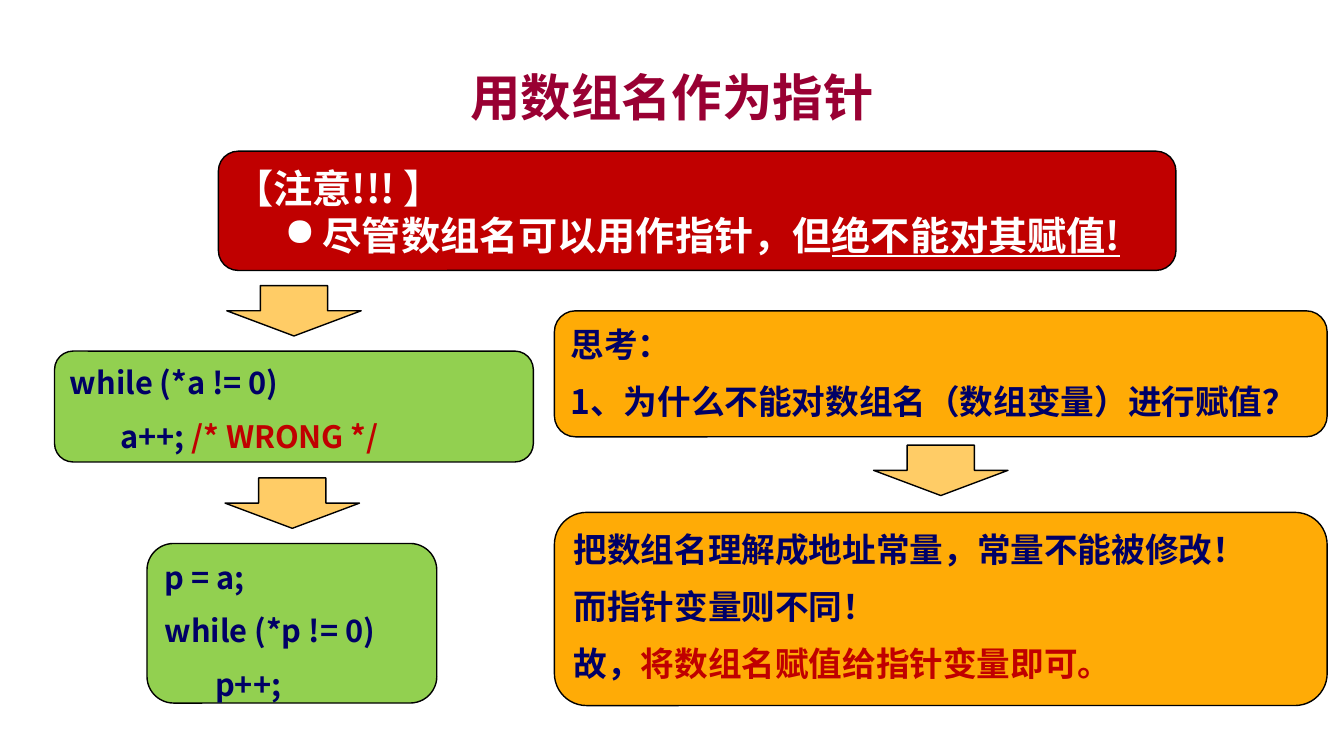
"""Build the slide on using an array name as a pointer."""
from lxml import etree
from pptx import Presentation
from pptx.dml.color import RGBColor
from pptx.enum.shapes import MSO_SHAPE as SHAPE
from pptx.enum.text import MSO_ANCHOR as ANCHOR, PP_ALIGN as ALIGN
from pptx.oxml.ns import qn
from pptx.util import Inches, Pt

WHITE = RGBColor(0xFF, 0xFF, 0xFF)
BLACK = RGBColor(0x00, 0x00, 0x00)
CRIMSON = RGBColor(0x99, 0x00, 0x33)
RED = RGBColor(0xC0, 0x00, 0x00)
GREEN = RGBColor(0x92, 0xD0, 0x50)
ORANGE = RGBColor(0xFF, 0xAB, 0x06)
SAND = RGBColor(0xFF, 0xCC, 0x66)
NAVY = RGBColor(0x00, 0x00, 0x66)
CJK = "Noto Sans CJK SC"
COLS, ROWS = 160, 90

prs = Presentation()
prs.slide_width, prs.slide_height = Inches(13.33), Inches(7.5)
col, row = prs.slide_width / COLS, prs.slide_height / ROWS
s = prs.slides.add_slide(prs.slide_layouts[5])


def add_run(p, text, size, color, font=CJK, underline=None):
    """Append a bold run with the given format."""
    r = p.add_run()
    r.text = text
    r.font.size, r.font.bold, r.font.underline = Pt(size), True, underline
    r.font.color.rgb = color
    r.font.name = font
    etree.SubElement(r.font._element, qn("a:ea"), typeface=CJK)


def add_block(kind, x, y, w, h, fill):
    """Add an outlined shape placed in grid columns and rows."""
    sp = s.shapes.add_shape(kind, int(x * col), int(y * row), int(w * col), int(h * row))
    sp.shadow.inherit = False
    sp.fill.solid()
    sp.fill.fore_color.rgb = fill
    sp.line.color.rgb = BLACK
    sp.line.width = Pt(1)
    return sp


title = s.shapes.title
title.left, title.top = int(12 * col), int(7 * row)
title.width, title.height = int(136 * col), int(9 * row)
title.text_frame.vertical_anchor = ANCHOR.MIDDLE
p = title.text_frame.paragraphs[0]
p.alignment = ALIGN.CENTER
add_run(p, "用数组名作为指针", 36, CRIMSON, font="Arial")

boxes = [
    ((26, 18, 114, 14.2), RED, WHITE, 28, 0, [
        [("【注意!!! 】", {})],
        [("尽管数组名可以用作指针，但", {}), ("绝不能对其赋值!", {"underline": True})]]),
    ((6.5, 41.8, 57, 13.2), GREEN, NAVY, 22, 6, [
        [("while (*a != 0)", {})],
        [("\ta++; ", {}), ("/* WRONG */", {"color": RED})]]),
    ((66, 37, 92, 15), ORANGE, NAVY, 24, 6, [
        [("思考：", {})],
        [("1、为什么不能对数组名（数组变量）进行赋值？", {})]]),
    ((17.5, 64.7, 34.5, 19), GREEN, NAVY, 22, 6, [
        [("p = a;", {})],
        [("while (*p != 0)", {})],
        [("p++;", {})]]),
    ((66, 61, 92, 23), ORANGE, NAVY, 24, 6, [
        [("把数组名理解成地址常量，常量不能被修改！", {})],
        [("而指针变量则不同！", {})],
        [("故，", {}), ("将数组名赋值给指针变量即可。", {"color": RED})]]),
]
frames = []
for place, fill, color, size, gap, lines in boxes:
    tf = add_block(SHAPE.ROUNDED_RECTANGLE, *place, fill).text_frame
    tf.word_wrap = True
    tf.vertical_anchor = ANCHOR.TOP
    tf.margin_top = Inches(0.07)
    for i, line in enumerate(lines):
        p = tf.paragraphs[0] if i == 0 else tf.add_paragraph()
        p.alignment = ALIGN.LEFT
        p.space_before = p.space_after = Pt(gap)
        p.line_spacing = Pt(round(1.2 * size, 1))
        for text, style in line:
            add_run(p, text, size, **{"color": color, **style})
    frames.append(tf)

warning, code = frames[0].paragraphs[1], frames[3].paragraphs[2]
for p, margin, indent in ((warning, 0.88, -0.38), (code, 0.5, 0)):
    p.level = 1
    pPr = p._p.get_or_add_pPr()
    pPr.set("marL", str(Inches(margin)))
    pPr.set("indent", str(Inches(indent)))
etree.SubElement(warning._p.get_or_add_pPr(), qn("a:buChar"), char="●")

for x, y in ((27, 34), (26.8, 56.9), (104, 53)):
    add_block(SHAPE.DOWN_ARROW, x, y, 16, 6, SAND)

prs.save("out.pptx")
